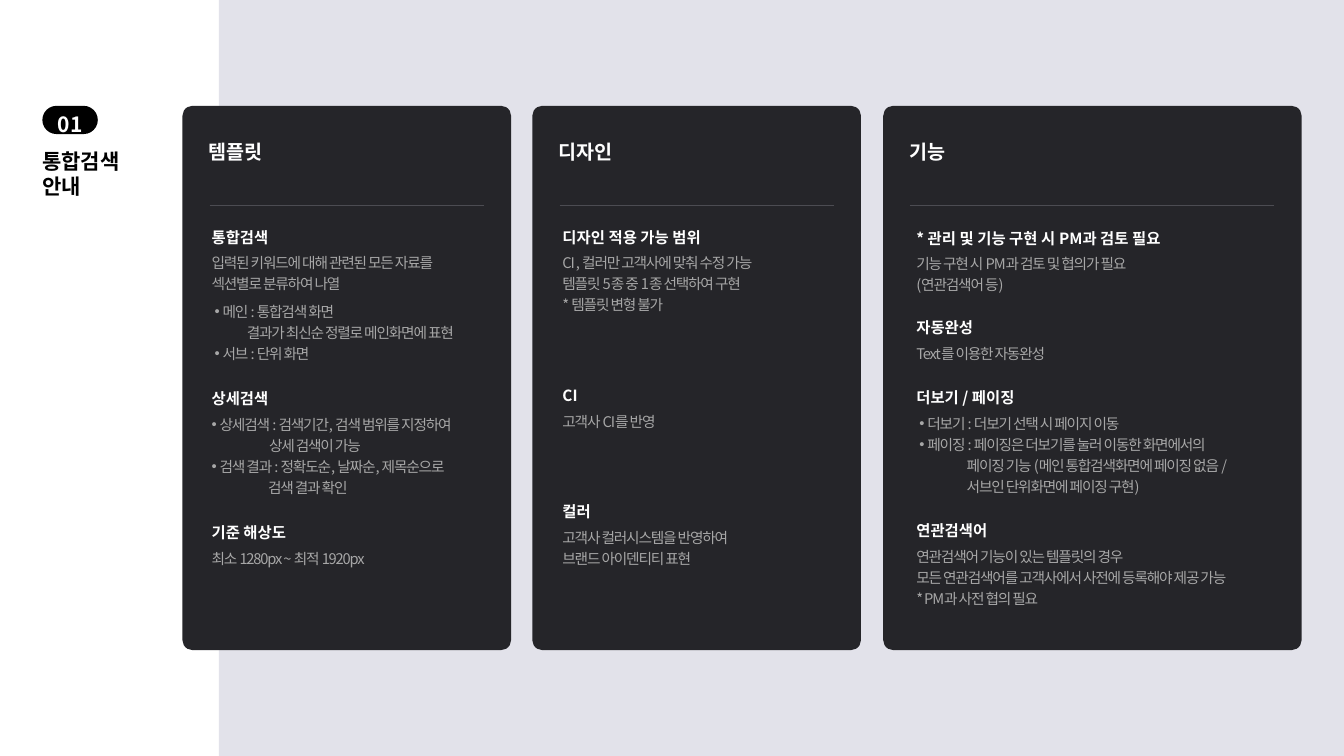
"""Build the unified search guide slide with three feature cards."""
from dataclasses import dataclass

from lxml import etree
from pptx import Presentation
from pptx.dml.color import RGBColor
from pptx.enum.shapes import MSO_CONNECTOR as Connector, MSO_SHAPE as Shape
from pptx.enum.text import MSO_AUTO_SIZE as AutoSize, PP_ALIGN as Align
from pptx.oxml.ns import qn
from pptx.util import Inches, Pt


@dataclass(frozen=True)
class Theme:
    font: str = "Noto Sans CJK KR"
    white: str = "FFFFFF"
    black: str = "000000"
    panel: str = "E2E2EA"
    card: str = "252529"
    rule: str = "4C4C52"
    body: str = "A7A7A7"
    label_size: float = 15
    title_size: float = 14
    heading_size: float = 11
    body_size: float = 10.5
    leading: float = 15


@dataclass(frozen=True)
class Line:
    text: str
    bullet: bool = False
    indent: float = 0


def bullet(text):
    """Return a bulleted line."""
    return Line(text, bullet=True, indent=0.19)


THEME = Theme()
CARD_TOP, CARD_HEIGHT, CARD_RADIUS = 1.05, 5.4, 0.1
TITLE_TOP, RULE_TOP, RULE_INSET = 1.34, 2.04, 0.27
BODY_DROP, BODY_LINE, BULLET_HANG = 0.23, 0.21, 0.08

CARDS = [
    {"title": "템플릿", "left": 1.81, "width": 3.26, "inset": 0.19, "sections": [
        ("통합검색", 2.21, [
            (0, 0, ["입력된 키워드에 대해 관련된 모든 자료를", "섹션별로 분류하여 나열"]),
            (-0.08, 0.48, [bullet("메인 : 통합검색 화면"),
                           Line("결과가 최신순 정렬로 메인화면에 표현", indent=0.43),
                           bullet("서브 : 단위 화면")])]),
        ("상세검색", 3.81, [
            (-0.11, 0, [bullet("상세검색 : 검색기간, 검색 범위를 지정하여"),
                        Line("상세 검색이 가능", indent=0.68),
                        bullet("검색 결과 : 정확도순, 날짜순, 제목순으로"),
                        Line("검색 결과 확인", indent=0.67)])]),
        ("기준 해상도", 5.14, [(0, 0, ["최소 1280px ~ 최적 1920px"])]),
    ]},
    {"title": "디자인", "left": 5.28, "width": 3.26, "inset": 0.2, "sections": [
        ("디자인 적용 가능 범위", 2.21, [
            (0, 0, ["CI , 컬러만 고객사에 맞춰 수정 가능", "템플릿 5종 중 1종 선택하여 구현",
                    "* 템플릿 변형 불가"])]),
        ("CI", 3.78, [(0, 0, ["고객사 CI를 반영"])]),
        ("컬러", 4.93, [(0, 0, ["고객사 컬러시스템을 반영하여", "브랜드 아이덴티티 표현"])]),
    ]},
    {"title": "기능", "left": 8.76, "width": 4.15, "inset": 0.23, "sections": [
        ("* 관리 및 기능 구현 시 PM과 검토 필요", 2.22, [
            (0, 0, ["기능 구현 시 PM과 검토 및 협의가 필요", "(연관검색어 등)"])]),
        ("자동완성", 3.11, [(0, 0, ["Text를 이용한 자동완성"])]),
        ("더보기 / 페이징", 3.8, [
            (-0.08, 0, [bullet("더보기 : 더보기 선택 시 페이지 이동"),
                        bullet("페이징 : 페이징은 더보기를 눌러 이동한 화면에서의"),
                        Line("페이징 기능 (메인 통합검색화면에 페이징 없음 /", indent=0.58),
                        Line("서브인 단위화면에 페이징 구현)", indent=0.58)])]),
        ("연관검색어", 5.12, [
            (0, 0, ["연관검색어 기능이 있는 템플릿의 경우",
                    "모든 연관검색어를 고객사에서 사전에 등록해야 제공 가능",
                    "* PM과 사전 협의 필요"])]),
    ]},
]


def add_block(slide, kind, left, top, width, height, color, radius=None):
    """Add a filled shape, with a corner radius in inches if given."""
    shape = slide.shapes.add_shape(kind, Inches(left), Inches(top), Inches(width), Inches(height))
    shape.shadow.inherit = False
    shape.fill.solid()
    shape.fill.fore_color.rgb = RGBColor.from_string(color)
    shape.line.fill.background()
    if radius is not None:
        shape.adjustments[0] = radius / min(width, height)


def add_rule(slide, left, top, width):
    """Add a thin horizontal line."""
    line = slide.shapes.add_connector(
        Connector.STRAIGHT, Inches(left), Inches(top), Inches(left + width), Inches(top))
    line.line.color.rgb = RGBColor.from_string(THEME.rule)
    line.line.width = Pt(0.5)
    etree.SubElement(line._element.spPr, qn("a:effectLst"))


def add_text(slide, lines, left, top, width, height, *, size, color=THEME.white, bold=True,
             spacing=None, tracking=None, align=Align.LEFT):
    """Add a text box holding one paragraph for each line."""
    box = slide.shapes.add_textbox(Inches(left), Inches(top), Inches(width), Inches(height))
    frame = box.text_frame
    frame.word_wrap = True
    frame.auto_size = AutoSize.SHAPE_TO_FIT_TEXT
    for index, item in enumerate(lines):
        line = item if isinstance(item, Line) else Line(item)
        paragraph = frame.add_paragraph() if index else frame.paragraphs[0]
        paragraph.alignment = align
        if spacing is not None:
            paragraph.line_spacing = spacing
        properties = paragraph._p.get_or_add_pPr()
        if line.indent:
            properties.set("marL", str(Inches(line.indent)))
            properties.set("indent", str(-Inches(BULLET_HANG) if line.bullet else 0))
        if line.bullet:
            etree.SubElement(properties, qn("a:buFont"), typeface="Arial")
            etree.SubElement(properties, qn("a:buChar"), char="•")
        run = paragraph.add_run()
        run.text = line.text
        run.font.size = Pt(size)
        run.font.bold = bold
        run.font.color.rgb = RGBColor.from_string(color)
        run.font.name = THEME.font
        run_properties = run._r.get_or_add_rPr()
        etree.SubElement(run_properties, qn("a:ea"), typeface=THEME.font)
        if tracking is not None:
            run_properties.set("spc", str(round(tracking * 100)))


def add_card(slide, card):
    """Add the title, rule and sections of one card."""
    left, width = card["left"], card["width"]
    add_block(slide, Shape.ROUNDED_RECTANGLE, left, CARD_TOP, width, CARD_HEIGHT,
              THEME.card, CARD_RADIUS)
    add_text(slide, [card["title"]], left + 0.16, TITLE_TOP, width - 0.4, 0.34,
             size=THEME.title_size)
    add_rule(slide, left + RULE_INSET, RULE_TOP, width - 2 * RULE_INSET)
    text_left, text_width = left + card["inset"], width - 0.28
    for heading, top, blocks in card["sections"]:
        add_text(slide, [heading], text_left, top, text_width, 0.29, size=THEME.heading_size)
        for shift, drop, lines in blocks:
            add_text(slide, lines, text_left + shift, top + BODY_DROP + drop,
                     text_width - shift, 0.08 + BODY_LINE * len(lines), size=THEME.body_size,
                     color=THEME.body, bold=False, spacing=Pt(THEME.leading), tracking=-0.8)


def main():
    """Build and save the slide."""
    presentation = Presentation()
    presentation.slide_width, presentation.slide_height = Inches(13.33), Inches(7.5)
    slide = presentation.slides.add_slide(presentation.slide_layouts[6])
    add_block(slide, Shape.RECTANGLE, 2.17, 0, 11.16, 7.5, THEME.panel)
    add_block(slide, Shape.ROUNDED_RECTANGLE, 0.42, 1.05, 0.55, 0.28, THEME.black, 0.14)
    add_text(slide, ["01"], 0.46, 0.93, 0.47, 0.43, size=THEME.label_size, spacing=1.5,
             align=Align.CENTER)
    add_text(slide, ["통합검색", "안내"], 0.32, 1.42, 1.21, 0.61, size=THEME.label_size,
             color=THEME.black)
    for card in CARDS:
        add_card(slide, card)
    presentation.save("out.pptx")


if __name__ == "__main__":
    main()
